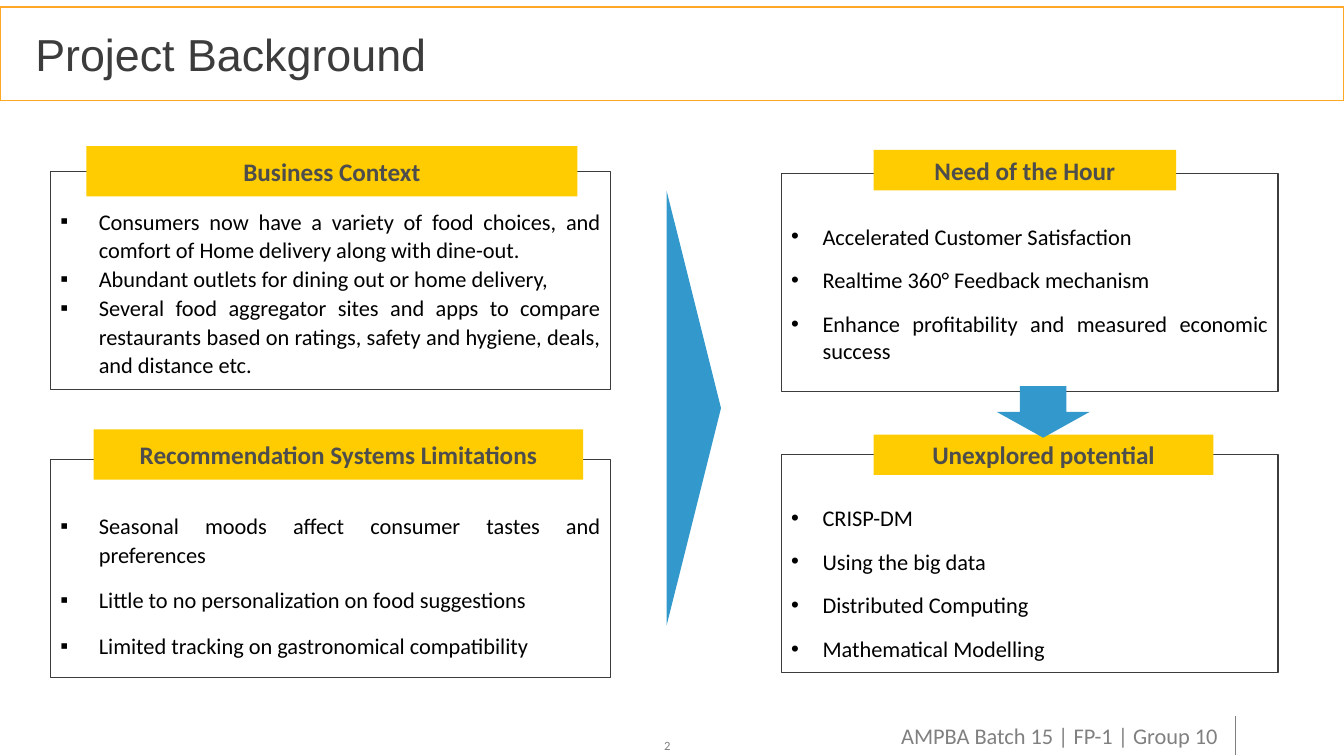
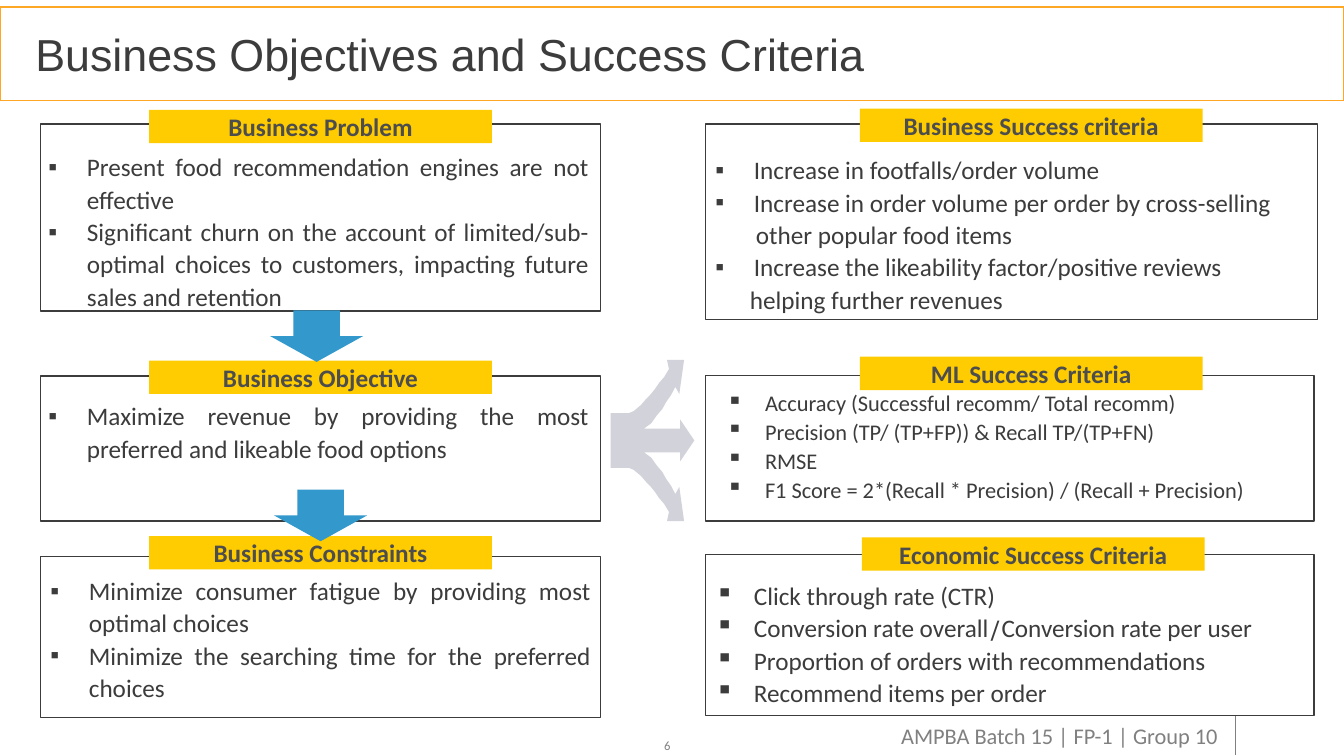
"""Build two slides of titled panels on project background and success criteria."""
from dataclasses import dataclass
from typing import Optional

from lxml.etree import SubElement
from pptx import Presentation
from pptx.dml.color import RGBColor
from pptx.enum.shapes import MSO_CONNECTOR, MSO_SHAPE
from pptx.enum.text import MSO_ANCHOR, MSO_AUTO_SIZE, PP_ALIGN
from pptx.oxml.ns import qn
from pptx.util import Cm, Pt

COLORS = {
    "white": "FFFFFF",
    "black": "000000",
    "dark": "3C3C3C",
    "heading": "4D4D4D",
    "footer": "808080",
    "yellow": "FECC00",
    "orange": "FEA626",
    "blue": "3399CC",
    "pale": "D2D2DA",
}
BODY_FONT = "Calibri"
TITLE_FONT = "Arial"
SEPARATOR_FONT = "TeX Gyre Adventor"
FOOTER_TEXT = "AMPBA Batch 15 | FP-1 | Group 10"
COMPARISON_LAYOUT = 4
WIDTH, HEIGHT = 33.87, 19.05
HANGING = 0.97
SIDE_INSET = 0.25
ARROW_SIZE = (2.34, 1.3)
SPLIT_AXIS = (15.39, 11.1)
SPLIT_HALF = (
    (0, 0.69), (0.46, 0.69), (0.58, 0.74), (0.76, 0.89), (0.89, 1.04), (0.99, 1.14),
    (1.12, 1.3), (1.22, 1.45), (1.35, 1.6), (1.47, 1.8), (1.42, 2.03), (1.85, 2.03),
    (1.73, 1.17), (1.63, 1.35), (1.52, 1.14), (1.4, 0.97), (1.3, 0.79), (1.17, 0.64),
    (1.02, 0.43), (0.84, 0.3), (1.75, 0.3), (1.75, 0.53), (2.11, 0),
)


@dataclass(frozen=True)
class Box:
    left: float
    top: float
    width: float
    height: float

    def lengths(self) -> tuple:
        return Cm(self.left), Cm(self.top), Cm(self.width), Cm(self.height)


@dataclass(frozen=True)
class Line:
    text: str
    bullet: bool = True
    indent: float = HANGING
    separator: str = ""


@dataclass(frozen=True)
class ListStyle:
    size: int = 18
    color: str = "dark"
    alignment: PP_ALIGN = PP_ALIGN.JUSTIFY
    bullet: str = "▪"
    indent: float = HANGING
    spacing: float = 1.07
    space_before: int = 0


@dataclass(frozen=True)
class Panel:
    heading: str
    heading_box: Box
    frame: Box
    lines: tuple
    style: ListStyle
    top_inset: float
    left_inset: float = SIDE_INSET


@dataclass(frozen=True)
class Figure:
    preset: MSO_SHAPE
    box: Box
    rotation: int = 0


def rgb(name: str) -> RGBColor:
    return RGBColor.from_string(COLORS[name])


def write_text(paragraph, text: str, *, size: int, color: str, font: str = BODY_FONT,
               bold: bool = False, alignment: PP_ALIGN = PP_ALIGN.LEFT) -> None:
    paragraph.alignment = alignment
    run = paragraph.add_run()
    run.text = text
    run.font.size = Pt(size)
    run.font.name = font
    run.font.bold = bold
    run.font.color.rgb = rgb(color)


def set_frame(shape, *, anchor: MSO_ANCHOR, left: float = 0, top: float = 0,
              right: float = 0, bottom: float = 0):
    frame = shape.text_frame
    frame.auto_size = MSO_AUTO_SIZE.NONE
    frame.word_wrap = True
    frame.vertical_anchor = anchor
    frame.margin_left, frame.margin_top = Cm(left), Cm(top)
    frame.margin_right, frame.margin_bottom = Cm(right), Cm(bottom)
    return frame


def paint(shape, fill: str) -> None:
    shape.shadow.inherit = False
    shape.fill.solid()
    shape.fill.fore_color.rgb = rgb(fill)
    shape.line.fill.background()


def outline(shape, color: str) -> None:
    shape.line.color.rgb = rgb(color)
    shape.line.width = Pt(1)


def place(shape, box: Box) -> None:
    shape.left, shape.top, shape.width, shape.height = box.lengths()


def add_figure(slide, figure: Figure, fill: str = "blue"):
    shape = slide.shapes.add_shape(figure.preset, *figure.box.lengths())
    paint(shape, fill)
    shape.rotation = figure.rotation
    return shape


def down_arrow(left: float, top: float) -> Figure:
    return Figure(MSO_SHAPE.DOWN_ARROW, Box(left, top, *ARROW_SIZE))


def write_line(paragraph, line: Line, style: ListStyle, first: bool) -> None:
    indent = style.indent if line.bullet else line.indent
    properties = paragraph._p.get_or_add_pPr()
    properties.set("marL", str(Cm(indent)))
    properties.set("indent", str(-Cm(indent) if line.bullet else 0))
    if line.bullet:
        SubElement(properties, qn("a:buChar")).set("char", style.bullet)
    else:
        SubElement(properties, qn("a:buNone"))
    paragraph.line_spacing = style.spacing
    paragraph.space_before = Pt(0 if first else style.space_before)
    paragraph.space_after = Pt(0)
    pieces = line.text.partition(line.separator) if line.separator else (line.text,)
    for piece in pieces:
        font = SEPARATOR_FONT if piece == line.separator else BODY_FONT
        write_text(paragraph, piece, size=style.size, color=style.color, font=font,
                   alignment=style.alignment)


def add_panel(slide, panel: Panel, placeholder: Optional[object]) -> None:
    body = placeholder or slide.shapes.add_textbox(*panel.frame.lengths())
    place(body, panel.frame)
    outline(body, "dark")
    frame = set_frame(body, anchor=MSO_ANCHOR.TOP, left=panel.left_inset,
                      top=panel.top_inset, right=max(0, 2 * SIDE_INSET - panel.left_inset))
    for index, line in enumerate(panel.lines):
        paragraph = frame.add_paragraph() if index else frame.paragraphs[0]
        write_line(paragraph, line, panel.style, index == 0)

    heading = add_figure(slide, Figure(MSO_SHAPE.RECTANGLE, panel.heading_box), "yellow")
    frame = set_frame(heading, anchor=MSO_ANCHOR.MIDDLE)
    write_text(frame.paragraphs[0], panel.heading, size=18, color="heading", bold=True,
               alignment=PP_ALIGN.CENTER)


def add_label(slide, text: str, box: Box, size: int) -> None:
    label = slide.shapes.add_textbox(*box.lengths())
    frame = set_frame(label, anchor=MSO_ANCHOR.MIDDLE)
    write_text(frame.paragraphs[0], text, size=size, color="footer")


def add_footer(slide, number: int) -> None:
    add_label(slide, str(number), Box(16.74, 18.59, 0.97, 0.38), 9)
    add_label(slide, FOOTER_TEXT, Box(22.71, 18.19, 8.3, 0.69), 16)
    rule = slide.shapes.add_connector(MSO_CONNECTOR.STRAIGHT, Cm(31.12), Cm(18.03),
                                      Cm(31.12), Cm(19.02))
    rule.line.color.rgb = rgb("footer")
    rule.line.width = Pt(0.25)
    SubElement(rule._element.spPr, qn("a:effectLst"))


def add_title(slide, text: str) -> None:
    title = slide.shapes.title
    place(title, Box(0, 0.18, WIDTH, 2.36))
    title.fill.solid()
    title.fill.fore_color.rgb = rgb("white")
    outline(title, "orange")
    frame = set_frame(title, anchor=MSO_ANCHOR.MIDDLE, left=0.89)
    write_text(frame.paragraphs[0], text, size=32, color="dark", font=TITLE_FONT)


def add_slide(presentation, title: str, number: int, panels: tuple, figures: tuple):
    slide = presentation.slides.add_slide(presentation.slide_layouts[COMPARISON_LAYOUT])
    bodies = [item for item in slide.placeholders if item.placeholder_format.idx > 0]
    add_title(slide, title)
    add_footer(slide, number)
    for index, panel in enumerate(panels):
        add_panel(slide, panel, bodies[index] if index < len(bodies) else None)
    for figure in figures:
        add_figure(slide, figure)
    return slide


def add_split_arrow(slide) -> None:
    mirrored = [(across, -down) for across, down in reversed(SPLIT_HALF[:-1])]
    points = [(Cm(SPLIT_AXIS[0] + across), Cm(SPLIT_AXIS[1] + down))
              for across, down in [*SPLIT_HALF, *mirrored]]
    builder = slide.shapes.build_freeform(*points[0])
    builder.add_line_segments(points[1:], close=True)
    paint(builder.convert_to_shape(), "pale")


def bullets(*texts: str) -> tuple:
    return tuple(Line(text) for text in texts)


def background_panels() -> tuple:
    compact = ListStyle(size=16, color="black")
    spaced = ListStyle(size=16, color="black", space_before=12)
    dotted = ListStyle(size=16, color="black", bullet="•", indent=0.79, spacing=1,
                       space_before=12)
    return (
        Panel("Business Context", Box(2.18, 3.68, 12.37, 1.27), Box(1.27, 4.32, 14.12, 5.49),
              bullets("Consumers now have a variety of food choices, and comfort of Home "
                      "delivery along with dine-out.",
                      "Abundant outlets for dining out or home delivery,",
                      "Several food aggregator sites and apps to compare restaurants based "
                      "on ratings, safety and hygiene, deals, and distance etc."),
              compact, 0.87),
        Panel("Recommendation Systems Limitations", Box(2.36, 10.82, 12.34, 1.27),
              Box(1.27, 11.58, 14.12, 5.49),
              bullets("Seasonal moods affect consumer tastes and preferences",
                      "Little to no personalization on food suggestions",
                      "Limited tracking on gastronomical compatibility"),
              spaced, 1.28),
        Panel("Need of the Hour", Box(22.02, 3.78, 7.62, 1.02), Box(19.69, 4.37, 12.52, 5.49),
              bullets("Accelerated Customer Satisfaction",
                      "Realtime 360° Feedback mechanism",
                      "Enhance profitability and measured economic success"),
              dotted, 1.24),
        Panel("Unexplored potential", Box(22.02, 10.95, 8.56, 1.02),
              Box(19.69, 11.46, 12.52, 5.49),
              bullets("CRISP-DM", "Using the big data", "Distributed Computing",
                      "Mathematical Modelling"),
              dotted, 1.24),
    )


def criteria_panels() -> tuple:
    justified = ListStyle()
    ragged = ListStyle(alignment=PP_ALIGN.LEFT)
    small = ListStyle(size=16, alignment=PP_ALIGN.LEFT)
    heading_size = (8.64, 0.84)
    return (
        Panel("Business Problem", Box(3.76, 2.77, *heading_size), Box(1.02, 3.12, 14.12, 4.72),
              bullets("Present food recommendation engines are not effective",
                      "Significant churn on the account of limited/sub-optimal choices to "
                      "customers, impacting future sales and retention"),
              justified, 0.65, 0.2),
        Panel("Business Objective", Box(3.76, 9.09, *heading_size),
              Box(1.02, 9.47, 14.12, 3.66),
              bullets("Maximize revenue by providing the most preferred and likeable food "
                      "options"),
              justified, 0.57, 0.2),
        Panel("Business Constraints", Box(3.76, 13.51, *heading_size),
              Box(1.02, 14.02, 14.12, 4.06),
              bullets("Minimize consumer fatigue by providing most optimal choices",
                      "Minimize the searching time for the preferred choices"),
              justified, 0.42),
        Panel("Business Success criteria", Box(21.67, 2.74, *heading_size),
              Box(17.78, 3.12, 15.42, 4.93),
              (Line("Increase in footfalls/order volume"),
               Line("Increase in order volume per order by cross-selling"),
               Line("other popular food items", bullet=False, indent=1.02),
               Line("Increase the likeability factor/positive reviews"),
               Line("helping further revenues", bullet=False, indent=0.87)),
              ragged, 0.72),
        Panel("ML Success Criteria", Box(21.67, 8.99, *heading_size),
              Box(17.78, 9.47, 15.34, 3.66),
              bullets("Accuracy (Successful recomm/ Total recomm)",
                      "Precision (TP/ (TP+FP)) & Recall TP/(TP+FN)",
                      "RMSE",
                      "F1 Score = 2*(Recall * Precision) / (Recall + Precision)"),
              small, 0.3, 0.53),
        Panel("Economic Success Criteria", Box(21.72, 13.54, *heading_size),
              Box(17.78, 13.97, 15.34, 4.06),
              (Line("Click through rate (CTR)"),
               Line("Conversion rate overall/Conversion rate per user", separator="/"),
               Line("Proportion of orders with recommendations"),
               Line("Recommend items per order")),
              ragged, 0.6),
    )


def main() -> None:
    presentation = Presentation()
    presentation.slide_width, presentation.slide_height = Cm(WIDTH), Cm(HEIGHT)
    wedge = Figure(MSO_SHAPE.ISOSCELES_TRIANGLE, Box(12.01, 9.6, 10.95, 1.37), 90)
    add_slide(presentation, "Project Background", 2, background_panels(),
              (wedge, down_arrow(25.12, 9.73)))
    criteria = add_slide(presentation, "Business Objectives and Success Criteria", 6,
                         criteria_panels(), (down_arrow(6.81, 7.82), down_arrow(6.91, 12.34)))
    add_split_arrow(criteria)
    presentation.save("out.pptx")


if __name__ == "__main__":
    main()
